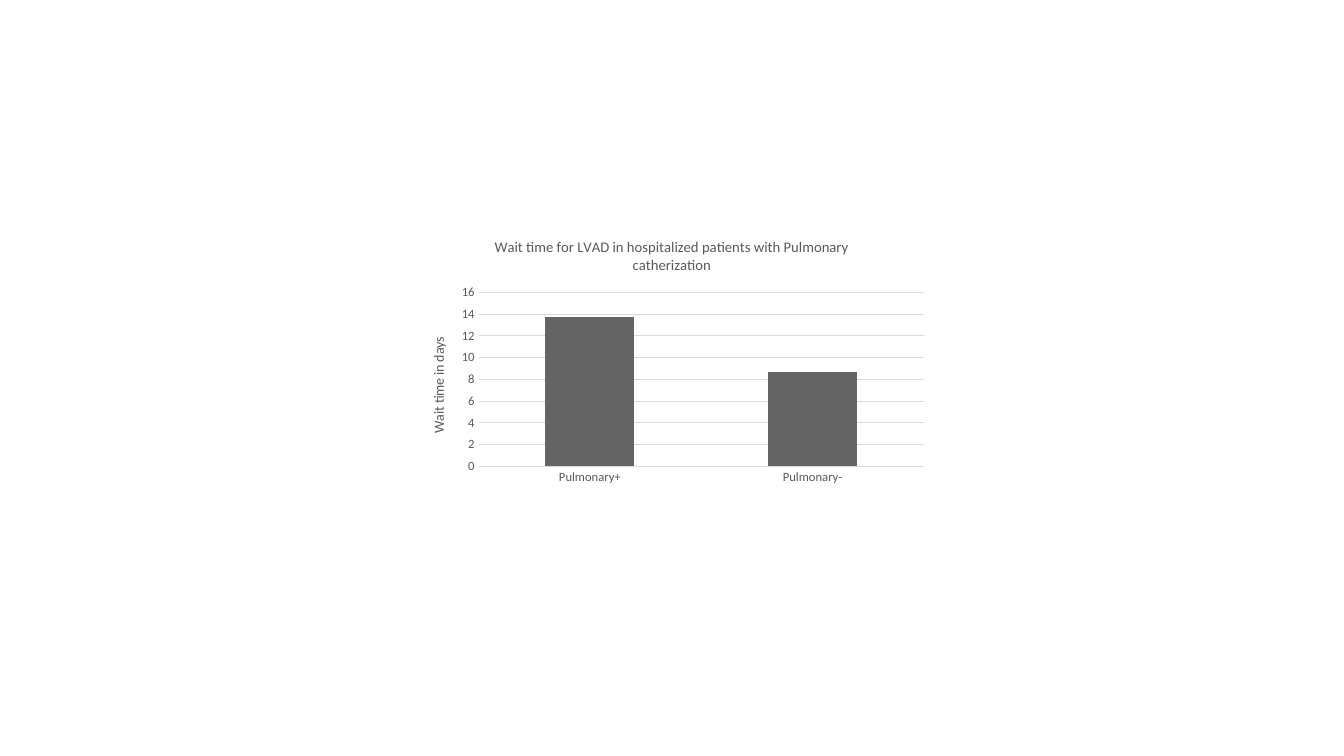
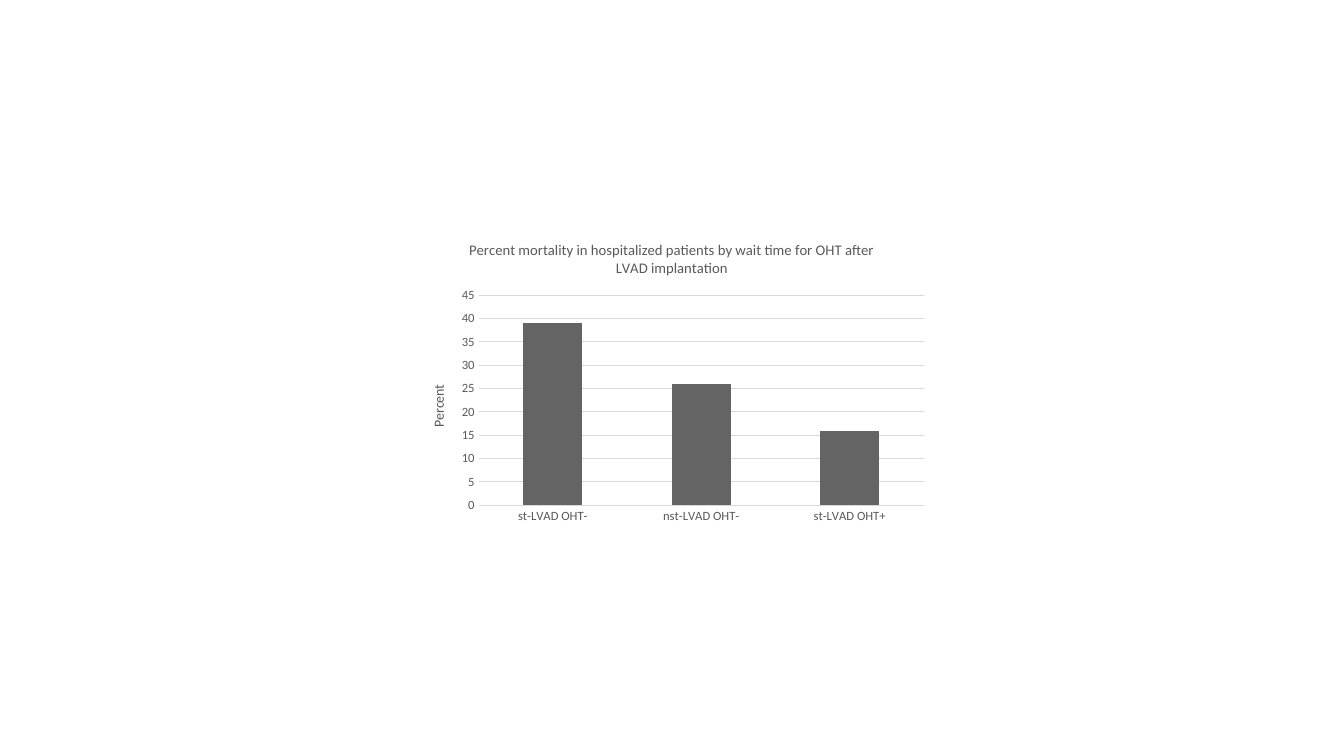
from pptx import Presentation
from pptx.chart.data import CategoryChartData
from pptx.dml.color import RGBColor
from pptx.enum.chart import XL_CHART_TYPE, XL_TICK_MARK
from pptx.util import Pt

# Shared style
FONT = "Calibri"
TEXT, GRID, BAR = "595959", "D9D9D9", "646464"
LEFT, WIDTH = 292.3, 375.1


def color(code):
    return RGBColor.from_string(code)


def style(font, size):
    font.name = FONT
    font.size = Pt(size)
    font.bold = False
    font.color.rgb = color(TEXT)


def rule(line):
    line.color.rgb = color(GRID)
    line.width = Pt(0.75)


def label(owner, text, size):
    """Give a chart or an axis its title."""
    owner.has_title = True
    para = owner.chart_title if hasattr(owner, "chart_title") else owner.axis_title
    para = para.text_frame.paragraphs[0]
    para.text = text
    style(para.runs[0].font, size)


def bars(slide, top, height, title, unit, top_value, step, values, overlap=0):
    data = CategoryChartData()
    data.categories = list(values)
    data.add_series("Series 1", list(values.values()))
    chart = slide.shapes.add_chart(
        XL_CHART_TYPE.COLUMN_CLUSTERED,
        Pt(LEFT), Pt(top), Pt(WIDTH), Pt(height), data).chart
    chart.has_legend = False
    style(chart.font, 10)
    label(chart, title, 10.5)
    chart.chart_title.include_in_layout = False

    # Columns
    plot = chart.plots[0]
    plot.vary_by_categories = False
    plot.gap_width = 150
    plot.overlap = overlap
    fill = plot.series[0].format.fill
    fill.solid()
    fill.fore_color.rgb = color(BAR)

    # Axes
    for axis in (chart.category_axis, chart.value_axis):
        axis.major_tick_mark = axis.minor_tick_mark = XL_TICK_MARK.NONE
        style(axis.tick_labels.font, 9)
    rule(chart.category_axis.format.line)
    scale = chart.value_axis
    scale.minimum_scale = 0
    scale.maximum_scale = top_value
    scale.major_unit = step
    scale.format.line.fill.background()
    rule(scale.major_gridlines.format.line)
    label(scale, unit, 10)
    return chart


def main():
    deck = Presentation()
    deck.slide_width, deck.slide_height = Pt(960), Pt(540)
    blank = deck.slide_layouts[6]

    # Wait time
    wait = bars(
        deck.slides.add_slide(blank), 159.1, 221,
        "Wait time for LVAD in hospitalized patients with Pulmonary catherization",
        "Wait time in days", 16, 2,
        {"Pulmonary+": 13.7, "Pulmonary-": 8.7}, overlap=-100)
    label(wait.category_axis, " ", 10)

    # Mortality
    bars(
        deck.slides.add_slide(blank), 161.3, 217.4,
        "Percent mortality in hospitalized patients by wait time for OHT "
        "after LVAD implantation",
        "Percent", 45, 5,
        {"st-LVAD OHT-": 39, "nst-LVAD OHT-": 26, "st-LVAD OHT+": 16})

    deck.save("out.pptx")


main()
